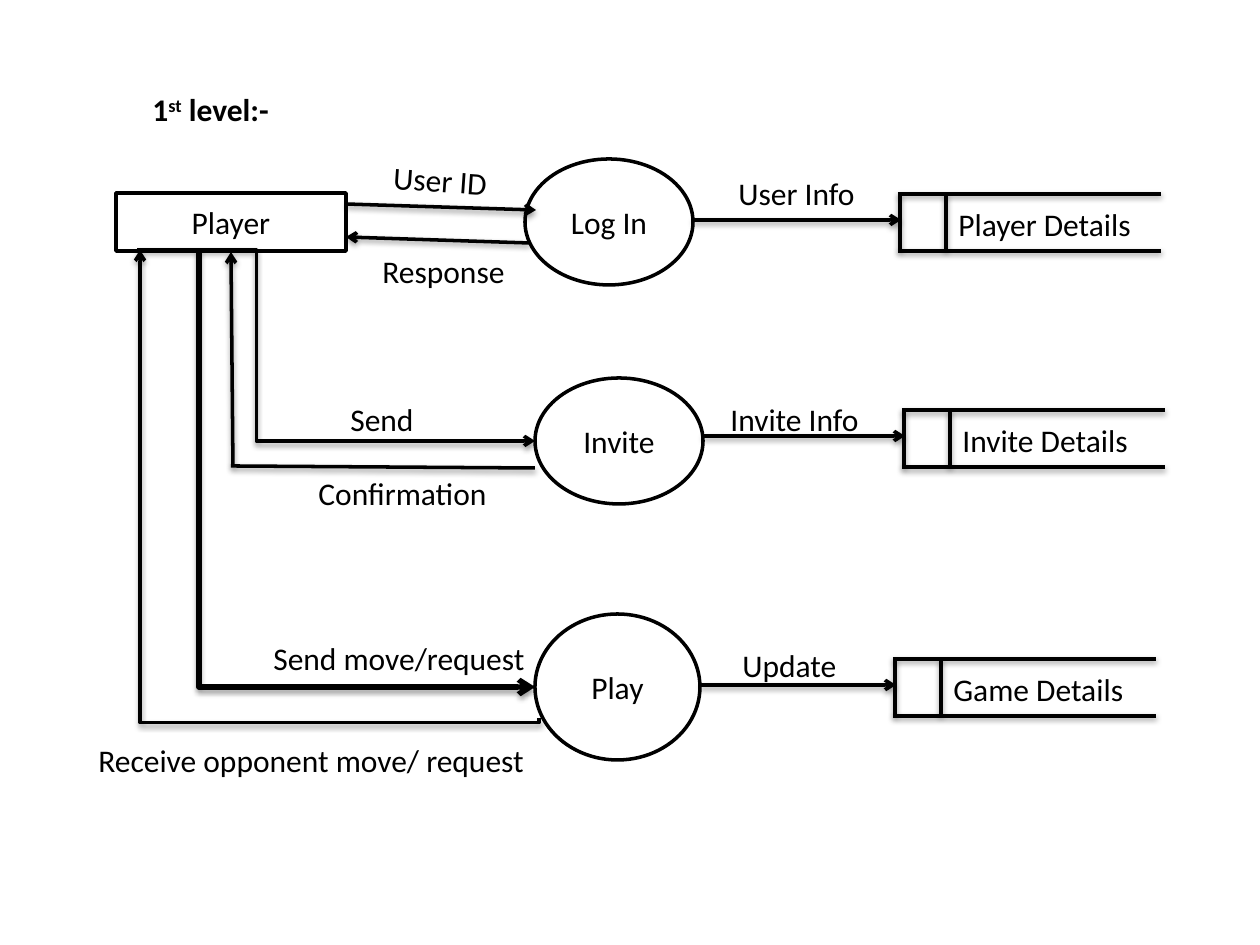
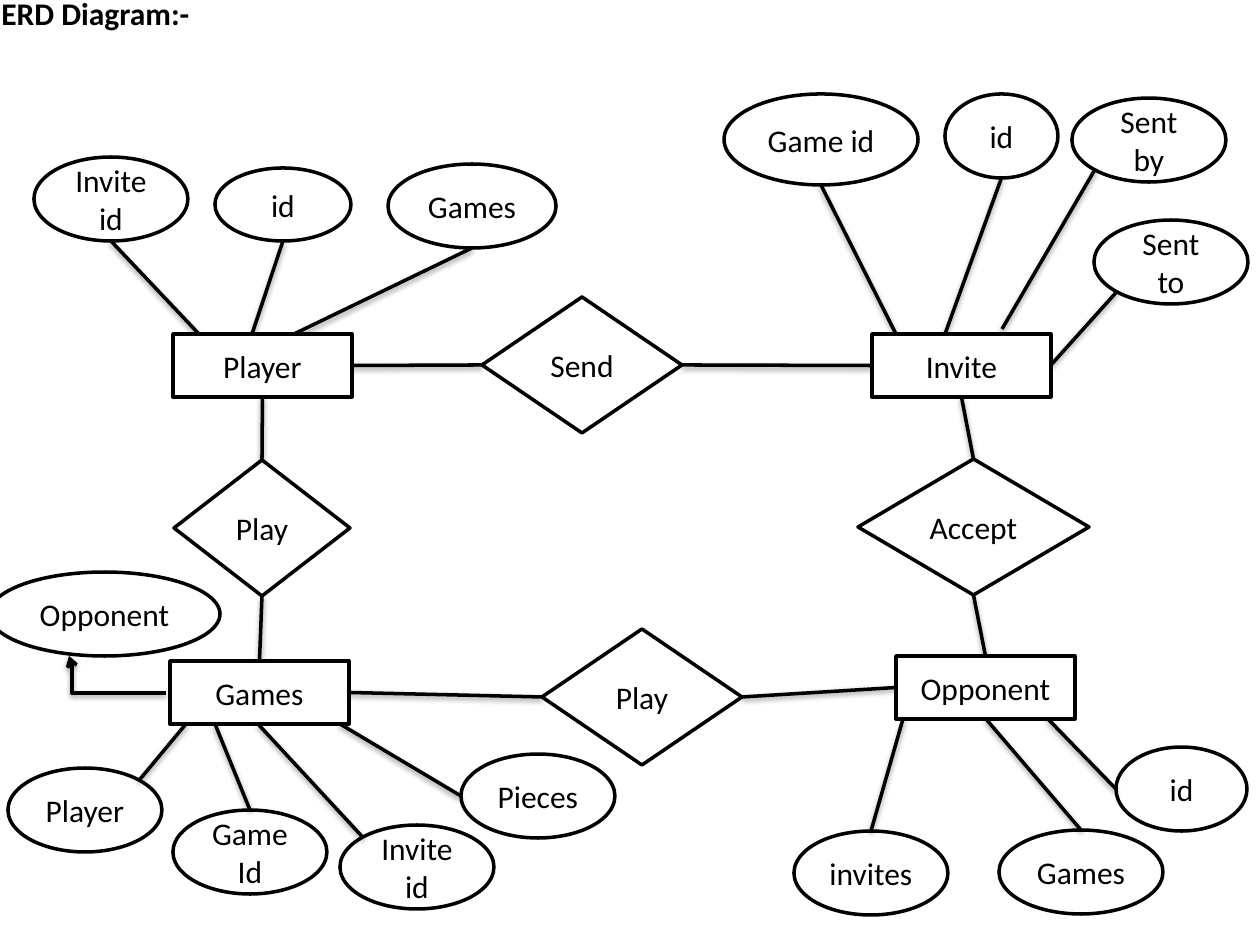
from lxml import etree
from pptx import Presentation
from pptx.dml.color import RGBColor
from pptx.enum.shapes import MSO_CONNECTOR, MSO_SHAPE
from pptx.enum.text import MSO_ANCHOR, MSO_AUTO_SIZE, PP_ALIGN
from pptx.oxml.ns import qn
from pptx.util import Emu, Pt

RECT, ELLIPSE, DIAMOND = MSO_SHAPE.RECTANGLE, MSO_SHAPE.OVAL, MSO_SHAPE.DIAMOND
STRAIGHT, ELBOW = MSO_CONNECTOR.STRAIGHT, MSO_CONNECTOR.ELBOW
CENTER, LEFT_ALIGN = PP_ALIGN.CENTER, PP_ALIGN.LEFT
MIDDLE, GROW = MSO_ANCHOR.MIDDLE, MSO_AUTO_SIZE.SHAPE_TO_FIT_TEXT

BLACK = RGBColor(0x00, 0x00, 0x00)
WHITE = RGBColor(0xFF, 0xFF, 0xFF)
FONT = "Calibri"
PIXEL = 914400 / 126
QUARTER_BACK = "16200000"

TOP, BOTTOM, LEFT, RIGHT = (0.5, 0), (0.5, 1), (0, 0.5), (1, 0.5)
UPPER_LEFT, UPPER_RIGHT, LOWER_LEFT = (0.15, 0.15), (0.85, 0.15), (0.15, 0.85)

ENTITY_SIZE = (179, 63)
LABEL_HEIGHT = 50
STORE_WIDTH, STORE_HEIGHT, STORE_TAB = 263, 57, 48


def px(*lengths):
    """Turn pixel lengths into EMU."""
    return [Emu(round(length * PIXEL)) for length in lengths]


def at(box, site):
    """Return the point at a fractional site of a box."""
    left, top, width, height = box
    return left + width * site[0], top + height * site[1]


def write(frame, text, bold=False, align=LEFT_ALIGN):
    """Write one paragraph; parts between carets are raised."""
    paragraph = frame.paragraphs[0]
    paragraph.alignment = align
    for index, part in enumerate(text.split("^")):
        run = paragraph.add_run()
        run.text = part
        run.font.name, run.font.size = FONT, Pt(18)
        run.font.bold = bold
        run.font.color.rgb = BLACK
        if index % 2:
            run._r.get_or_add_rPr().set("baseline", "30000")


def label(slide, box, text, rotation=0, bold=False):
    """Place an unwrapped text label."""
    area = slide.shapes.add_textbox(*px(*box))
    area.rotation = rotation
    area.text_frame.word_wrap = False
    area.text_frame.auto_size = GROW
    write(area.text_frame, text, bold=bold)


def node(slide, kind, box, text):
    """Draw an outlined shape with centred text."""
    body = slide.shapes.add_shape(kind, *px(*box))
    body.shadow.inherit = False
    body.fill.solid()
    body.fill.fore_color.rgb = WHITE
    body.line.color.rgb = BLACK
    body.line.width = Pt(2)
    body.text_frame.word_wrap = True
    body.text_frame.vertical_anchor = MIDDLE
    write(body.text_frame, text, align=CENTER)


def style_line(connector, arrow, weight):
    """Give a connector its black line, arrowhead and soft shadow."""
    connector.line.color.rgb = BLACK
    connector.line.width = Pt(weight)
    properties = connector._element.spPr
    if arrow:
        etree.SubElement(properties.find(qn("a:ln")), qn("a:tailEnd"), type="arrow")
    effects = etree.SubElement(properties, qn("a:effectLst"))
    shadow = etree.SubElement(effects, qn("a:outerShdw"), blurRad="40000",
                              dist="20000", dir="5400000", rotWithShape="0")
    color = etree.SubElement(shadow, qn("a:srgbClr"), val=str(BLACK))
    etree.SubElement(color, qn("a:alpha"), val="38000")


def link(slide, start, end, arrow=False):
    """Draw a straight line between two points."""
    style_line(slide.shapes.add_connector(STRAIGHT, *px(*start, *end)), arrow, 2)


def elbow(slide, start, end, bend=None, upright=False, weight=2):
    """Draw a bent arrow; upright ones leave vertically, no bend means one corner."""
    (x1, y1), (x2, y2) = start, end
    points = (x1, y1, x2, y2)
    if upright:
        middle_x, middle_y = (x1 + x2) / 2, (y1 + y2) / 2
        half_x, half_y = (x2 - x1) / 2, (y2 - y1) / 2
        points = (middle_x + half_y, middle_y - half_x,
                  middle_x - half_y, middle_y + half_x)
    connector = slide.shapes.add_connector(ELBOW, *px(*points))
    properties = connector._element.spPr
    if upright:
        properties.find(qn("a:xfrm")).set("rot", QUARTER_BACK)
    geometry = properties.find(qn("a:prstGeom"))
    if bend is None:
        geometry.set("prst", "bentConnector2")
    else:
        etree.SubElement(geometry.find(qn("a:avLst")), qn("a:gd"),
                         name="adj1", fmla=f"val {round(bend * 100000)}")
    style_line(connector, True, weight)


def data_store(slide, left, top, name, name_width):
    """Draw an open-ended data store with its tab and name."""
    bottom = top + STORE_HEIGHT
    for y in (top, bottom):
        link(slide, (left, y), (left + STORE_WIDTH, y))
    for x in (left + 2, left + STORE_TAB):
        link(slide, (x, bottom), (x, top))
    label(slide, (left + STORE_TAB, top + 5, name_width, LABEL_HEIGHT), name)


def process_row(slide, box, name, store, flow):
    """Draw a process, the store it writes to and the flow between them."""
    left, top, width, height = box
    store_name, store_dx, store_dy, store_name_width = store
    flow_name, flow_dx, flow_dy, flow_width = flow
    store_left, store_top = left + store_dx, top + store_dy
    flow_y = store_top + 26
    node(slide, ELLIPSE, box, name)
    data_store(slide, store_left, store_top, store_name, store_name_width)
    link(slide, (left + width, flow_y), (store_left + 3, flow_y), arrow=True)
    label(slide, (left + flow_dx, top + flow_dy, flow_width, LABEL_HEIGHT), flow_name)


def player_flows(slide, box):
    """Draw the player and the flows between it and the processes."""
    left, top, width, height = box
    right, bottom = left + width, top + height
    node(slide, RECT, box, "Player")
    link(slide, (right, top + 11), (left + 420, top + 17), arrow=True)
    link(slide, (left + 413, top + 50), (right, top + 44), arrow=True)
    elbow(slide, (left + 21, bottom - 1), (left + 419, top + 248), bend=0.3)
    link(slide, (left + 419, top + 275), (left + 115, top + 273))
    link(slide, (left + 117, top + 273), (left + 115, bottom + 1), arrow=True)
    elbow(slide, (left + 83, bottom - 1), (left + 419, top + 494),
          upright=True, weight=3)
    elbow(slide, (left + 423, top + 525), (left + 24, bottom - 1),
          bend=-0.01, upright=True)
    for text, dx, dy, label_width, rotation in (
            ("User ID", 265, -38, 120, 4),
            ("Response", 254, 53, 149, 0),
            ("Send", 222, 201, 89, 0),
            ("Confirmation", 190, 275, 195, 0),
            ("Send move/request", 145, 440, 280, 0),
            ("Receive opponent move/ request", -30, 542, 456, 0)):
        label(slide, (left + dx, top + dy, label_width, LABEL_HEIGHT), text,
              rotation=rotation)


def entity_group(slide, box, name, attributes):
    """Draw an entity with its attributes, each joined to a point on the entity."""
    left, top = box[:2]
    for text, dx, dy, width, height, site, foot_dx, foot_dy in attributes:
        attribute = (left + dx, top + dy, width, height)
        node(slide, ELLIPSE, attribute, text)
        link(slide, at(attribute, site), (left + foot_dx, top + foot_dy))
    node(slide, RECT, box, name)


def relation(slide, box, name, entities):
    """Draw a relation diamond joined to the facing side of each entity."""
    node(slide, DIAMOND, box, name)
    for site, entity in entities.items():
        link(slide, at(box, site), at(entity, (1 - site[0], 1 - site[1])))


def data_flow_slide(slide):
    """Build the first-level data flow diagram."""
    label(slide, (140, 84, 145, LABEL_HEIGHT), "1^st^ level:-", bold=True)
    process_row(slide, (525, 159, 168, 126), "Log In",
                ("Player Details", 373, 35, 200), ("User Info", 201, 9, 142))
    process_row(slide, (535, 378, 168, 126), "Invite",
                ("Invite Details", 367, 32, 193), ("Invite Info", 183, 16, 155))
    process_row(slide, (535, 614, 165, 146), "Play",
                ("Game Details", 358, 45, 197), ("Update", 195, 26, 121))
    player_flows(slide, (116, 193, 230, 58))


def relationship_slide(slide):
    """Build the entity relationship diagram."""
    player, invite = (173, 334, *ENTITY_SIZE), (872, 334, *ENTITY_SIZE)
    games, opponent = (170, 661, *ENTITY_SIZE), (896, 656, *ENTITY_SIZE)
    label(slide, (-11, -12, 215, LABEL_HEIGHT), "ERD Diagram:-", bold=True)
    relation(slide, (174, 460, 176, 136), "Play", {TOP: player, BOTTOM: games})
    relation(slide, (482, 297, 200, 136), "Send", {LEFT: player, RIGHT: invite})
    relation(slide, (542, 629, 200, 136), "Play", {LEFT: games, RIGHT: opponent})
    relation(slide, (858, 459, 231, 136), "Accept", {TOP: invite, BOTTOM: opponent})
    entity_group(slide, player, "Player", (
        ("Invite id", -139, -177, 154, 84, BOTTOM, 26, 0),
        ("id", 42, -166, 136, 73, BOTTOM, 79, 0),
        ("Games", 215, -170, 168, 84, BOTTOM, 121, 0)))
    entity_group(slide, games, "Games", (
        ("Player", -162, 107, 154, 84, UPPER_RIGHT, 16, 63),
        ("Game Id", 3, 149, 154, 84, TOP, 45, 63),
        ("Invite id", 170, 164, 154, 84, UPPER_LEFT, 88, 63),
        ("Pieces", 291, 93, 154, 84, LEFT, 170, 63)))
    entity_group(slide, invite, "Invite", (
        ("Game id", -148, -240, 194, 91, BOTTOM, 24, 0),
        ("id", 73, -240, 113, 84, BOTTOM, 73, 0),
        ("Sent by", 200, -236, 154, 84, LOWER_LEFT, 130, -5),
        ("Sent to", 222, -114, 154, 84, LOWER_LEFT, 179, 31)))
    entity_group(slide, opponent, "Opponent", (
        ("id", 220, 91, 131, 84, LEFT, 152, 63),
        ("Games", 103, 174, 164, 84, TOP, 90, 63),
        ("invites", -102, 175, 154, 84, TOP, 7, 63)))
    node(slide, ELLIPSE, (-11, 572, 231, 84), "Opponent")
    elbow(slide, (166, 693), (69, 656), bend=0.97)


deck = Presentation()
deck.slide_width, deck.slide_height = px(1260, 945)
blank = deck.slide_layouts[6]
for build in (data_flow_slide, relationship_slide):
    build(deck.slides.add_slide(blank))
deck.save("out.pptx")
